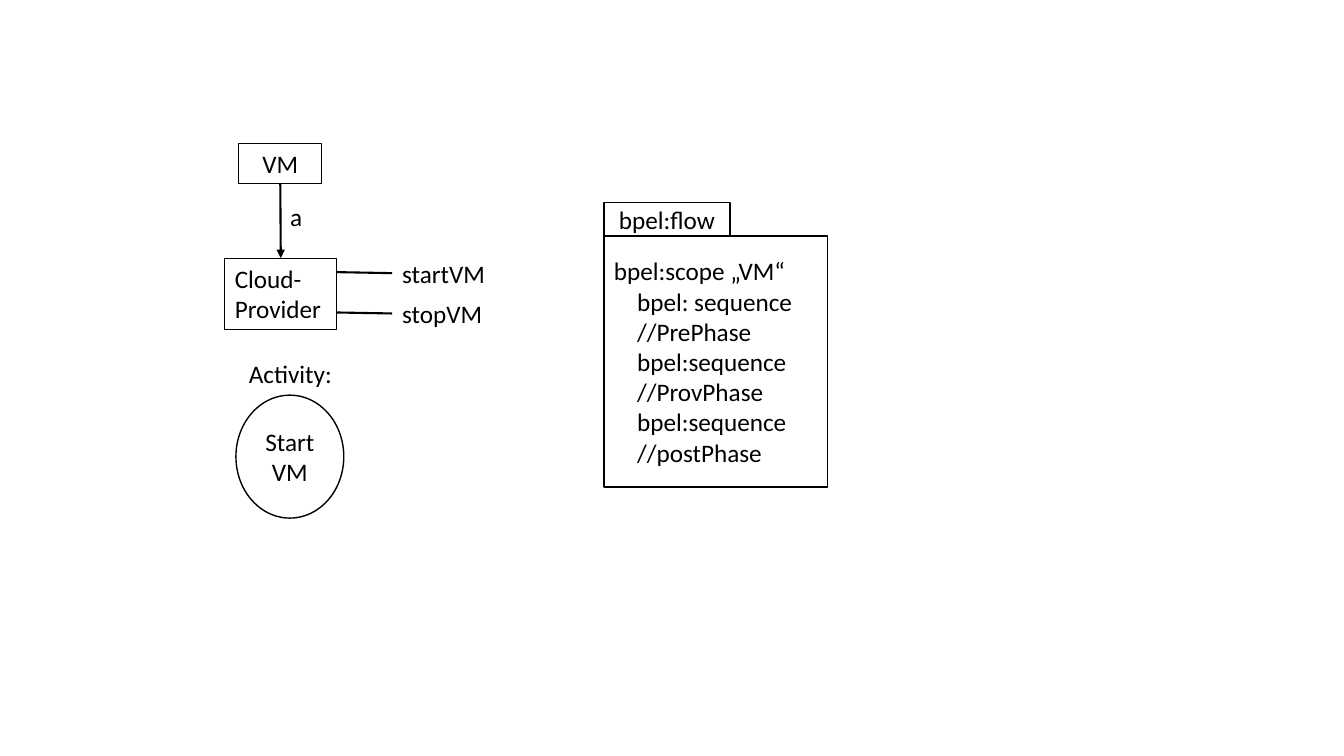
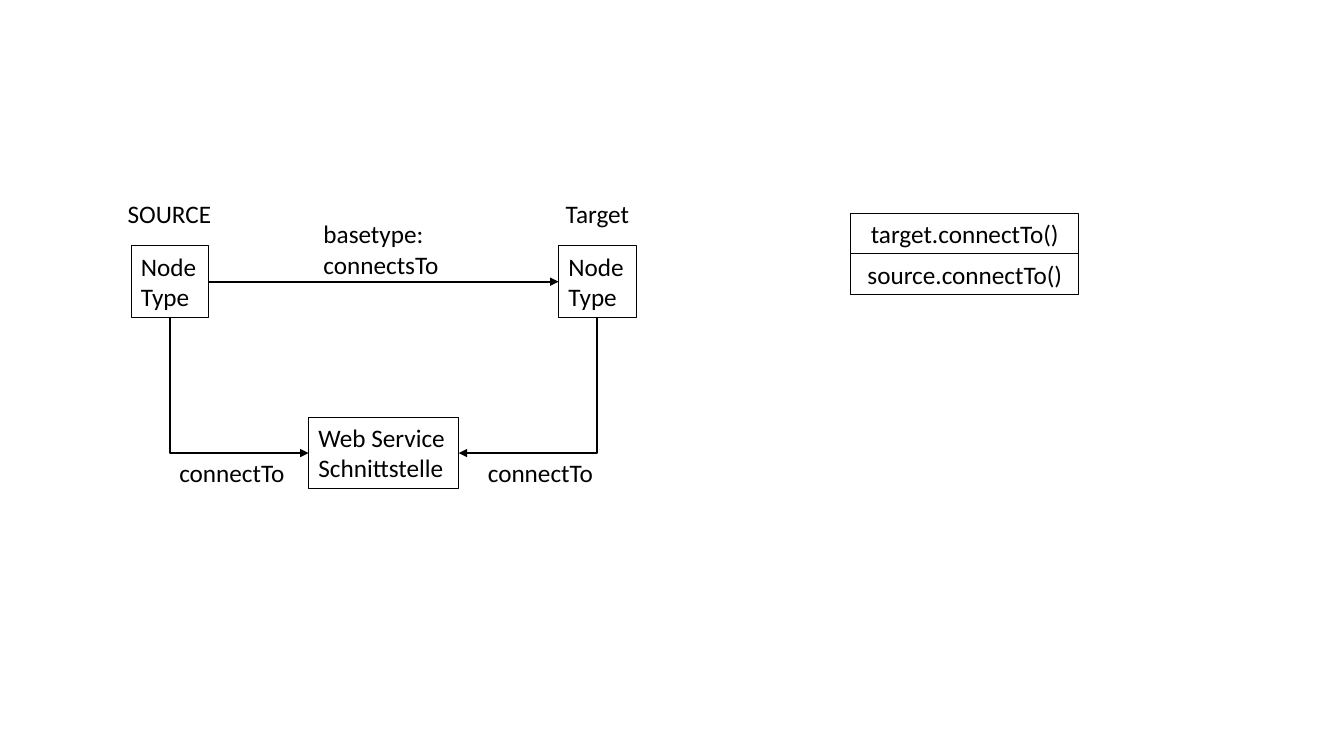
from dataclasses import dataclass
from lxml import etree
from pptx import Presentation
from pptx.dml.color import RGBColor
from pptx.enum.shapes import MSO_CONNECTOR, MSO_SHAPE
from pptx.enum.text import MSO_ANCHOR, MSO_AUTO_SIZE, PP_ALIGN
from pptx.oxml.ns import qn
from pptx.util import Inches, Pt


@dataclass(frozen=True)
class Theme:
    ink: RGBColor = RGBColor(0, 0, 0)
    font: str = "Calibri"
    size: float = 18
    thin: float = 0.75
    medium: float = 1
    thick: float = 1.5
    indent: float = 0.23
    row: float = 0.4
    double_row: float = 0.71


TOP, LEFT, BOTTOM, RIGHT = range(4)


class Deck:
    def __init__(self, theme):
        self.theme = theme
        self.prs = Presentation()
        self.prs.slide_width = Inches(13.33)
        self.prs.slide_height = Inches(7.5)

    def slide(self):
        self.s = self.prs.slides.add_slide(self.prs.slide_layouts[6])

    def add_lines(self, sp, lines, align, middle=False, indented=0):
        tf = sp.text_frame
        tf.word_wrap = True
        tf.vertical_anchor = MSO_ANCHOR.MIDDLE if middle else MSO_ANCHOR.TOP
        tf.auto_size = MSO_AUTO_SIZE.NONE if middle else MSO_AUTO_SIZE.SHAPE_TO_FIT_TEXT
        for i, line in enumerate(lines):
            p = tf.add_paragraph() if i else tf.paragraphs[0]
            p.alignment = align
            if indented and i >= indented:
                p._p.get_or_add_pPr().set("marL", str(Inches(self.theme.indent)))
            r = p.add_run()
            r.text = line
            r.font.name = self.theme.font
            r.font.size = Pt(self.theme.size)
            r.font.color.rgb = self.theme.ink

    def text(self, x, y, w, *lines, h=None, align=PP_ALIGN.LEFT):
        sp = self.s.shapes.add_textbox(*map(Inches, (x, y, w, h or self.theme.row)))
        self.add_lines(sp, lines, align)

    def box(self, x, y, w, h, *lines, align=PP_ALIGN.LEFT, middle=False,
            indented=0, kind=MSO_SHAPE.RECTANGLE):
        sp = self.s.shapes.add_shape(kind, *map(Inches, (x, y, w, h)))
        sp.shadow.inherit = False
        sp.fill.background()
        sp.line.color.rgb = self.theme.ink
        sp.line.width = Pt(self.theme.medium if middle else self.theme.thin)
        self.add_lines(sp, lines, align, middle, indented)
        return sp

    def line(self, x1, y1, x2, y2, kind=MSO_CONNECTOR.STRAIGHT):
        c = self.s.shapes.add_connector(kind, *map(Inches, (x1, y1, x2, y2)))
        c.line.color.rgb = self.theme.ink
        c.line.width = Pt(self.theme.thick)
        etree.SubElement(c._element.spPr, qn("a:effectLst"))
        return c

    def arrow(self, start, start_side, end, end_side, kind=MSO_CONNECTOR.STRAIGHT):
        c = self.line(0, 0, 1, 1, kind)
        c.begin_connect(start, start_side)
        c.end_connect(end, end_side)
        ln = c._element.spPr.find(qn("a:ln"))
        etree.SubElement(ln, qn("a:tailEnd"), type="triangle")
        return c

    def corner_arrow(self, start, end, end_side):
        c = self.arrow(start, BOTTOM, end, end_side, MSO_CONNECTOR.ELBOW)
        dx, dy = c.end_x - c.begin_x, c.end_y - c.begin_y
        mid_x, mid_y = (c.begin_x + c.end_x) // 2, (c.begin_y + c.end_y) // 2
        c.width, c.height = dy, abs(dx)
        c.left, c.top = mid_x - dy // 2, mid_y - abs(dx) // 2
        spPr = c._element.spPr
        xfrm = spPr.find(qn("a:xfrm"))
        xfrm.set("rot", "16200000" if dx > 0 else "5400000")
        xfrm.set("flipH", "1" if dx > 0 else "0")
        spPr.find(qn("a:prstGeom")).set("prst", "bentConnector2")


theme = Theme()
deck = Deck(theme)
center = PP_ALIGN.CENTER

deck.slide()
vm = deck.box(2.37, 1.42, 0.82, theme.row, "VM", align=center)
provider = deck.box(2.23, 2.56, 1.11, theme.double_row, "Cloud-", "Provider")
deck.arrow(vm, BOTTOM, provider, TOP)
for y, operation in ((2.51, "startVM"), (2.91, "stopVM")):
    deck.text(3.89, y, 1.08, operation)
    deck.line(3.34, y + 0.19, 3.89, y + 0.2)
deck.text(2.78, 1.95, 0.33, "a")
deck.box(5.99, 2.34, 2.22, 2.49, "bpel:scope „VM“", "bpel: sequence", "//PrePhase",
         "bpel:sequence", "//ProvPhase", "bpel:sequence", "//postPhase",
         middle=True, indented=1)
deck.box(5.99, 2.01, 1.25, 0.33, "bpel:flow", align=center, middle=True)
deck.text(2.37, 3.51, 1.04, "Activity:")
deck.box(2.34, 3.92, 1.07, 1.22, "Start VM", align=center, middle=True,
         kind=MSO_SHAPE.OVAL)

deck.slide()
source, target = (deck.box(x, 2.44, 0.77, theme.double_row, "Node Type")
                  for x in (1.3, 5.54))
deck.arrow(source, RIGHT, target, LEFT)
service = deck.box(3.06, 4.14, 1.49, theme.double_row, "Web Service Schnittstelle")
deck.corner_arrow(source, service, LEFT)
deck.corner_arrow(target, service, RIGHT)
for x in (1.68, 4.74):
    deck.text(x, 4.49, 1.37, "connectTo")
deck.text(1.11, 1.92, 1.14, "SOURCE", align=center)
deck.text(5.5, 1.92, 0.85, "Target", align=center)
deck.text(3.11, 2.12, 1.39, "basetype:", "connectsTo", h=theme.double_row)
for i, operation in enumerate(("target.connectTo()", "source.connectTo()")):
    deck.box(8.44, 2.12 + i * theme.row, 2.26, theme.row, operation, align=center)

deck.prs.save("out.pptx")
